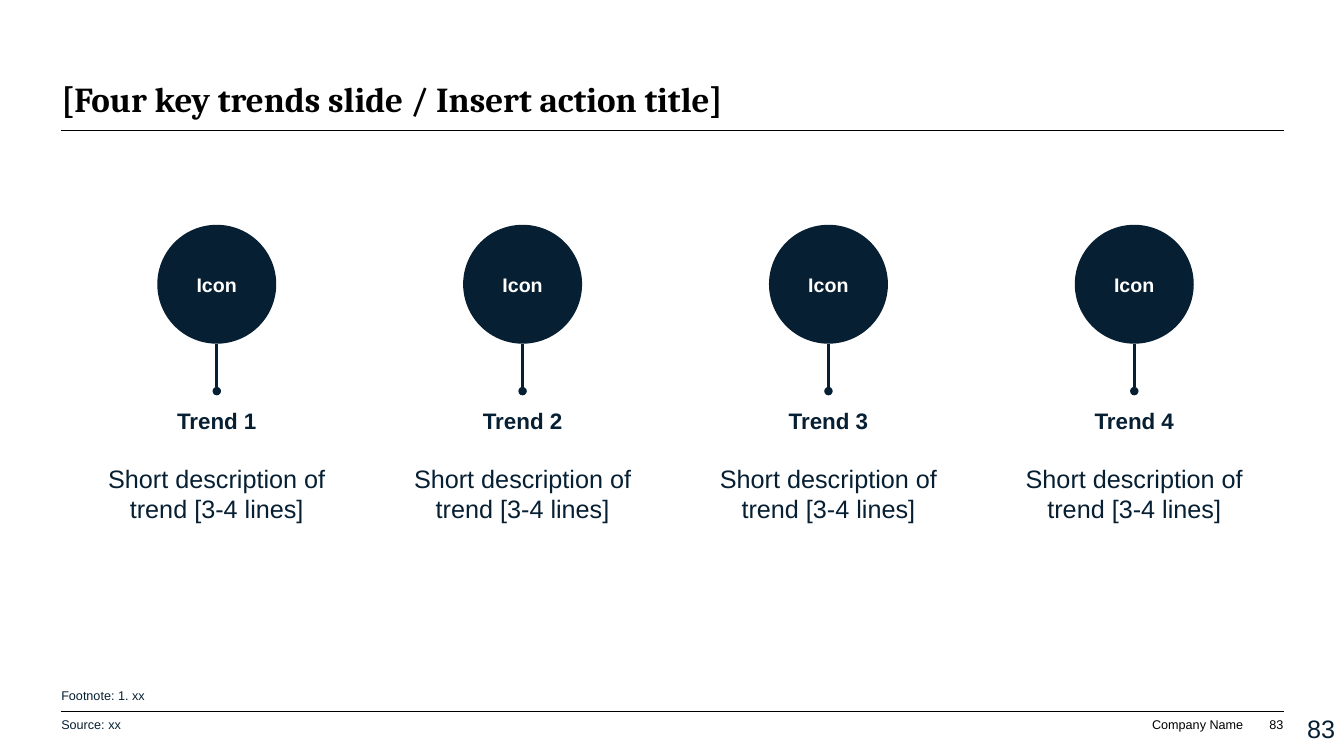
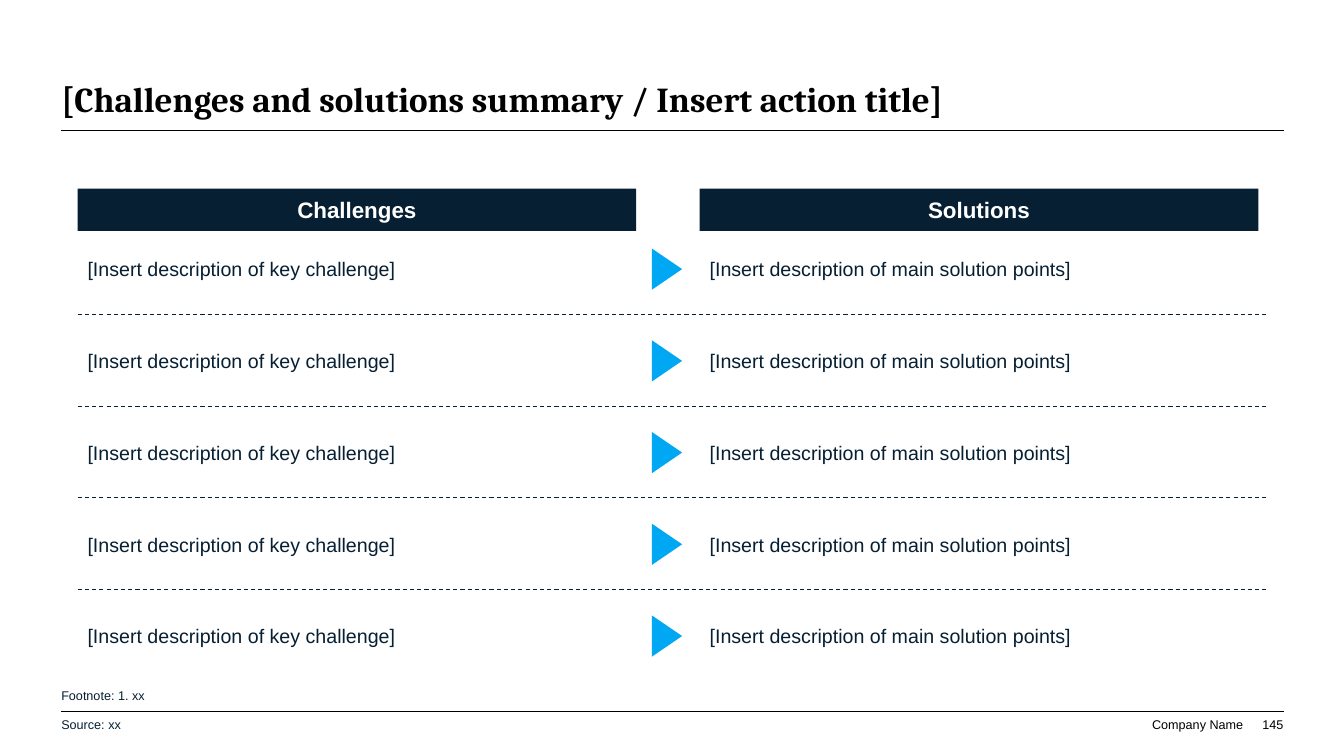
from lxml import etree
from pptx import Presentation
from pptx.dml.color import RGBColor
from pptx.enum.dml import MSO_LINE
from pptx.enum.shapes import MSO_CONNECTOR, MSO_SHAPE
from pptx.enum.text import MSO_ANCHOR, PP_ALIGN
from pptx.oxml.ns import qn
from pptx.util import Inches, Pt

NAVY = RGBColor(0x06, 0x1F, 0x32)
NOTE = RGBColor(0x06, 0x20, 0x32)
SKY = RGBColor(0x00, 0xA7, 0xF2)
BLACK = RGBColor(0, 0, 0)
WHITE = RGBColor(255, 255, 255)

BODY, SERIF = "Arial", "Cambria"
LEFT, RIGHT = 0.61, 12.73
TITLE_RULE, FOOT_RULE = 1.29, 7.06
NO_INSET = (0, 0, 0, 0)
INSET = (0.1, 0.05, 0.1, 0.05)

# Four trend columns, given by their centre lines
TREND_COUNT, TREND_X, TREND_STEP = 4, 2.15, 9.1 / 3
TREND_W, TREND_Y, ICON, ICON_Y = 2.44, 3.88, 1.18, 2.23

# Two table columns and five rows
COLUMNS = (
    (0.77, "Challenges", "[Insert description of key challenge]"),
    (6.94, "Solutions", "[Insert description of main solution points]"),
)
COL_W, HEAD_Y, HEAD_H = 5.54, 1.87, 0.42
ROW_COUNT, ROW_Y, ROW_STEP, ROW_H = 5, 2.32, 0.91, 0.7
DASH_RIGHT = 12.56
ARROW_X, ARROW_W, ARROW_H = 6.41, 0.41, 0.3


def write(p, text, size, color, font=BODY, bold=False, align=PP_ALIGN.LEFT):
    p.text = text
    p.alignment = align
    p.font.name = font
    p.font.size = Pt(size)
    p.font.bold = bold
    p.font.color.rgb = color


def add_text(s, box, text, size, color, inset=INSET, anchor=MSO_ANCHOR.MIDDLE, **style):
    tf = s.shapes.add_textbox(*map(Inches, box)).text_frame
    tf.word_wrap = True
    tf.vertical_anchor = anchor
    tf.margin_left, tf.margin_top, tf.margin_right, tf.margin_bottom = map(Inches, inset)
    write(tf.paragraphs[0], text, size, color, **style)
    return tf


def add_filled(s, kind, box, color, text="", size=14):
    sp = s.shapes.add_shape(kind, *map(Inches, box))
    sp.shadow.inherit = False
    sp.fill.solid()
    sp.fill.fore_color.rgb = color
    sp.line.fill.background()
    if text:
        sp.text_frame.vertical_anchor = MSO_ANCHOR.MIDDLE
        write(sp.text_frame.paragraphs[0], text, size, WHITE, bold=True, align=PP_ALIGN.CENTER)
    return sp


def add_line(s, start, end, color, width, dash=None, tail=None):
    line = s.shapes.add_connector(MSO_CONNECTOR.STRAIGHT, *map(Inches, start + end))
    line.line.color.rgb = color
    line.line.width = Pt(width)
    if dash:
        line.line.dash_style = dash
    if tail:
        etree.SubElement(line.line._get_or_add_ln(), qn("a:tailEnd"), type=tail)
    etree.SubElement(line._element.spPr, qn("a:effectLst"))


def add_framed_slide(prs, title, number):
    """Add a slide with the title, rules and footer that all slides share."""
    s = prs.slides.add_slide(prs.slide_layouts[6])
    for y in (TITLE_RULE, FOOT_RULE):
        add_line(s, (LEFT, y), (RIGHT, y), BLACK, 0.5)
    add_text(s, (LEFT, 0.39, RIGHT - LEFT, 0.8), title, 25, BLACK, inset=NO_INSET,
             anchor=MSO_ANCHOR.BOTTOM, font=SERIF, bold=True)
    for right, width, text in ((12.33, 1.5, "Company Name"), (RIGHT, 0.36, number)):
        add_text(s, (right - width, 7.11, width, 0.15), text, 9, BLACK, inset=NO_INSET,
                 anchor=MSO_ANCHOR.BOTTOM, align=PP_ALIGN.RIGHT)
    for y, width, text in ((6.99, 7.98, "Source: xx"), (6.7, 10.27, "Footnote: 1. xx")):
        add_text(s, (LEFT - 0.1, y, width, 0.4), text, 9, NOTE)
    return s


def add_trend(s, x, name):
    """Add an icon, its stem and its description, all centred on x."""
    tf = add_text(s, (x - TREND_W / 2, TREND_Y, TREND_W, 1.39), name, 16, NAVY,
                  inset=(0.1, 0.16, 0.1, 0.05), anchor=MSO_ANCHOR.TOP,
                  bold=True, align=PP_ALIGN.CENTER)
    p = tf.add_paragraph()
    write(p, "Short description of trend [3-4 lines]", 18, NAVY, align=PP_ALIGN.CENTER)
    p.space_before = Pt(21)
    add_filled(s, MSO_SHAPE.OVAL, (x - ICON / 2, ICON_Y, ICON, ICON), NAVY, "Icon")
    add_line(s, (x, ICON_Y + ICON), (x, TREND_Y), NAVY, 2, tail="oval")


def add_trends_slide(prs):
    s = add_framed_slide(prs, "[Four key trends slide / Insert action title]", "83")
    add_text(s, (12.75, 7.03, 0.59, 0.4), "83", 18, NAVY, align=PP_ALIGN.RIGHT)
    for i in range(TREND_COUNT):
        add_trend(s, TREND_X + i * TREND_STEP, f"Trend {i + 1}")


def add_challenges_slide(prs):
    s = add_framed_slide(prs, "[Challenges and solutions summary / Insert action title]", "145")
    for x, heading, _ in COLUMNS:
        add_filled(s, MSO_SHAPE.RECTANGLE, (x, HEAD_Y, COL_W, HEAD_H), NAVY, heading, 16)
    for i in range(ROW_COUNT):
        y = ROW_Y + i * ROW_STEP
        for x, _, text in COLUMNS:
            tf = add_text(s, (x, y, COL_W, ROW_H), text, 14, NAVY, inset=(0.1,) * 4)
            tf.paragraphs[0].space_after = Pt(6)
        arrow_y = y + (ROW_H - ARROW_H) / 2
        arrow = add_filled(s, MSO_SHAPE.ISOSCELES_TRIANGLE,
                           (ARROW_X, arrow_y, ARROW_W, ARROW_H), SKY)
        arrow.rotation = 90
        if i < ROW_COUNT - 1:
            dash_y = y + 0.8
            add_line(s, (COLUMNS[0][0], dash_y), (DASH_RIGHT, dash_y), NAVY, 0.75,
                     dash=MSO_LINE.DASH)


def main():
    prs = Presentation()
    prs.slide_width, prs.slide_height = Inches(13.33), Inches(7.5)
    add_trends_slide(prs)
    add_challenges_slide(prs)
    prs.save("out.pptx")


if __name__ == "__main__":
    main()
